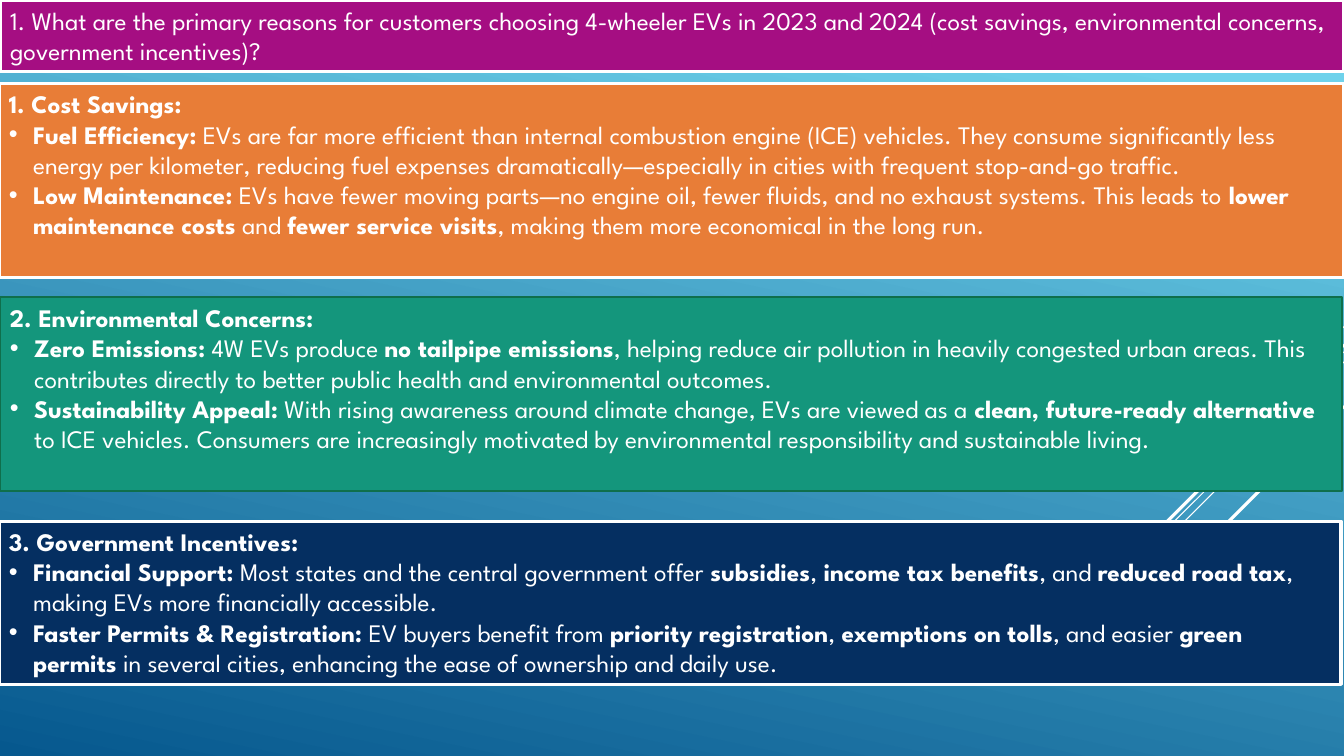
from lxml import etree
from pptx import Presentation
from pptx.dml.color import RGBColor
from pptx.enum.shapes import MSO_CONNECTOR, MSO_SHAPE
from pptx.enum.text import MSO_ANCHOR, MSO_AUTO_SIZE, PP_ALIGN
from pptx.oxml.ns import qn
from pptx.util import Inches, Pt

STRAIGHT = MSO_CONNECTOR.STRAIGHT
RECTANGLE = MSO_SHAPE.RECTANGLE
TOP = MSO_ANCHOR.TOP
NO_AUTO_SIZE = MSO_AUTO_SIZE.NONE
LEFT = PP_ALIGN.LEFT

WHITE = RGBColor(0xFF, 0xFF, 0xFF)
SKY = RGBColor(0x6E, 0xD2, 0xEB)
DEEP_BLUE = RGBColor(0x06, 0x58, 0x8E)
MAGENTA = RGBColor(0xA5, 0x0E, 0x82)
ORANGE = RGBColor(0xE8, 0x7D, 0x37)
GREEN = RGBColor(0x14, 0x96, 0x7C)
DARK_GREEN = RGBColor(0x0F, 0x6F, 0x4C)
NAVY = RGBColor(0x05, 0x2F, 0x61)

FONT = "League Spartan"
TEXT_SIZE = Pt(18)
SLIDE_WIDTH, SLIDE_HEIGHT = 13.33, 7.5
BULLET_INDENT = Inches(0.24)

QUESTION = (
    "1. What are the primary reasons for customers choosing 4-wheeler EVs in 2023 and 2024 "
    "(cost savings, environmental concerns, government incentives)?"
)

# Right-edge height, horizontal run and width of each 45-degree line
DIAGONALS = [
    (3.24, 1.0, 0.75),
    (3.49, 3.26, 0.75),
    (3.59, 2.07, 0.75),
    (3.42, 1.91, 2.25),
    (4.03, 1.39, 2.25),
]

# Box, fill, border colour, border width, heading, bullets (runs alternate bold and regular)
REASONS = [
    ((-0.01, 0.83, 13.34, 1.92), ORANGE, WHITE, 2.25, "1. Cost Savings:", [
        ("Fuel Efficiency:",
         " EVs are far more efficient than internal combustion engine (ICE) vehicles. They consume "
         "significantly less energy per kilometer, reducing fuel expenses dramatically—especially in "
         "cities with frequent stop-and-go traffic."),
        ("Low Maintenance:",
         " EVs have fewer moving parts—no engine oil, fewer fluids, and no exhaust systems. "
         "This leads to ",
         "lower maintenance costs", " and ", "fewer service visits",
         ", making them more economical in the long run."),
    ]),
    ((0, 2.95, 13.31, 1.92), GREEN, DARK_GREEN, 1.25, "2. Environmental Concerns:", [
        ("Zero Emissions:", " 4W EVs produce ", "no tailpipe emissions",
         ", helping reduce air pollution in heavily congested urban areas. This contributes directly "
         "to better public health and environmental outcomes."),
        ("Sustainability Appeal:",
         " With rising awareness around climate change, EVs are viewed as a ",
         "clean, future-ready alternative",
         " to ICE vehicles. Consumers are increasingly motivated by environmental responsibility "
         "and sustainable living."),
    ]),
    ((-0.01, 5.17, 13.31, 1.62), NAVY, WHITE, 2.25, "3. Government Incentives:", [
        ("Financial Support:", " Most states and the central government offer ", "subsidies", ", ",
         "income tax benefits", ", and ", "reduced road tax",
         ", making EVs more financially accessible."),
        ("Faster Permits & Registration:", " EV buyers benefit from ", "priority registration", ", ",
         "exemptions on tolls", ", and easier ", "green permits",
         " in several cities, enhancing the ease of ownership and daily use."),
    ]),
]


def paint_background(slide):
    fill = slide.background.fill
    fill.gradient()
    fill.gradient_angle = 258
    for stop, color, position in zip(fill.gradient_stops, (SKY, DEEP_BLUE), (0.1, 1)):
        stop.color.rgb = color
        stop.position = position


def add_diagonals(slide, right):
    for top, run, width in DIAGONALS:
        line = slide.shapes.add_connector(
            STRAIGHT, Inches(right), Inches(top), Inches(right - run), Inches(top + run))
        line.line.color.rgb = WHITE
        line.line.width = Pt(width)
        etree.SubElement(line._element.spPr, qn("a:effectLst"))


def style_panel(shape, fill, border, border_width):
    shape.fill.solid()
    shape.fill.fore_color.rgb = fill
    shape.line.color.rgb = border
    shape.line.width = Pt(border_width)
    frame = shape.text_frame
    frame.word_wrap = True
    frame.auto_size = NO_AUTO_SIZE
    frame.vertical_anchor = TOP


def add_run(paragraph, text, bold):
    paragraph.alignment = LEFT
    run = paragraph.add_run()
    run.text = text
    run.font.name = FONT
    run.font.size = TEXT_SIZE
    run.font.bold = bold
    run.font.color.rgb = WHITE


def add_bullet(frame, runs):
    """Add one bulleted paragraph whose runs alternate bold and regular."""
    paragraph = frame.add_paragraph()
    properties = paragraph._p.get_or_add_pPr()
    properties.set("marL", str(BULLET_INDENT))
    properties.set("indent", str(-BULLET_INDENT))
    etree.SubElement(properties, qn("a:buFont"), typeface="Arial")
    etree.SubElement(properties, qn("a:buChar"), char="•")
    for index, text in enumerate(runs):
        add_run(paragraph, text, index % 2 == 0)


def add_question(slide, box):
    title = slide.shapes.title
    title.left, title.top, title.width, title.height = map(Inches, box)
    style_panel(title, MAGENTA, WHITE, 2.25)
    add_run(title.text_frame.paragraphs[0], QUESTION, False)


def add_reason(slide, box, fill, border, border_width, heading, bullets):
    panel = slide.shapes.add_shape(RECTANGLE, *map(Inches, box))
    panel.shadow.inherit = False
    style_panel(panel, fill, border, border_width)
    add_run(panel.text_frame.paragraphs[0], heading, True)
    for runs in bullets:
        add_bullet(panel.text_frame, runs)


def main():
    presentation = Presentation()
    presentation.slide_width = Inches(SLIDE_WIDTH)
    presentation.slide_height = Inches(SLIDE_HEIGHT)
    slide = presentation.slides.add_slide(presentation.slide_layouts[5])
    paint_background(slide)
    add_diagonals(slide, SLIDE_WIDTH)
    add_question(slide, (0, 0, SLIDE_WIDTH, 0.71))
    for reason in REASONS:
        add_reason(slide, *reason)
    presentation.save("out.pptx")


if __name__ == "__main__":
    main()
